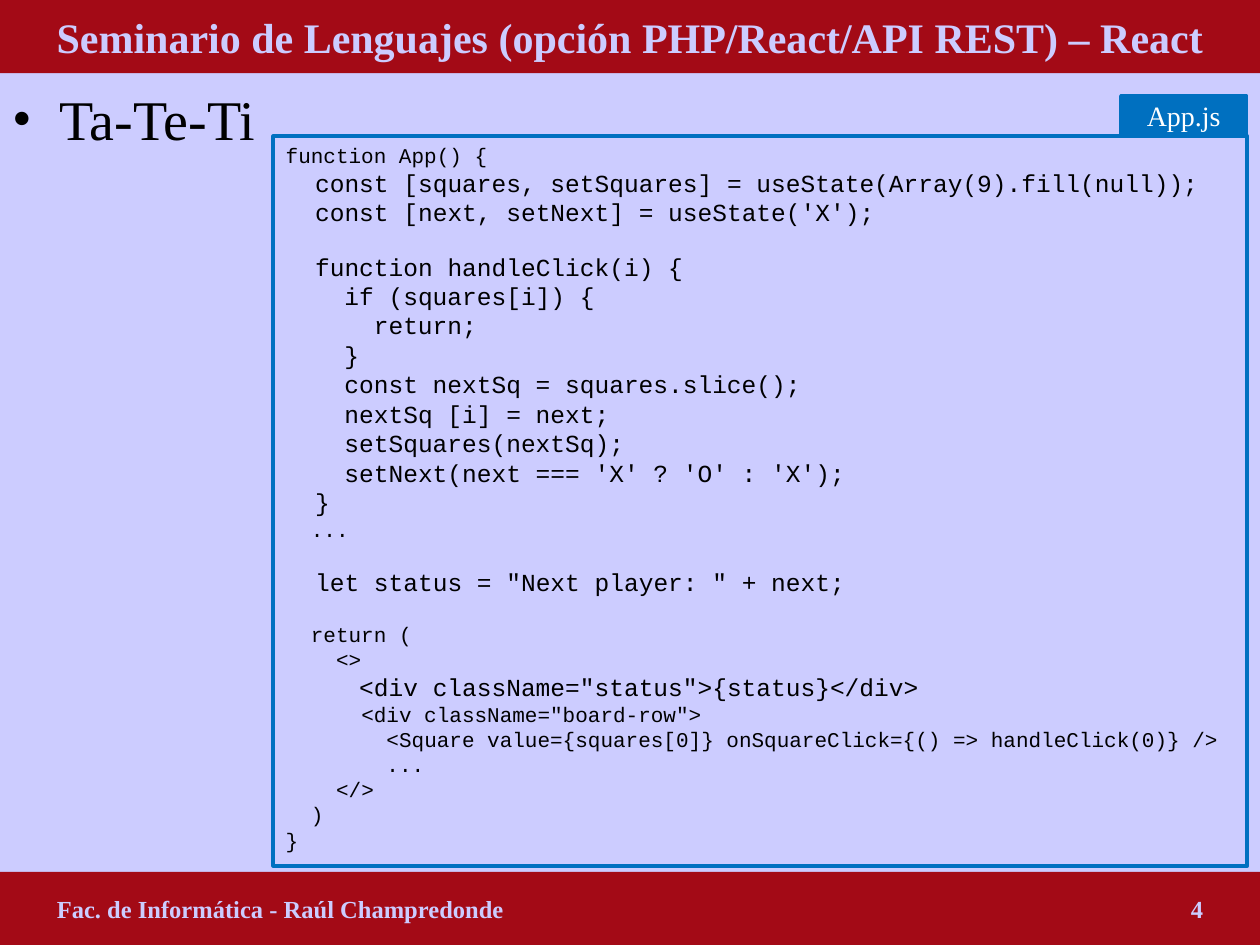
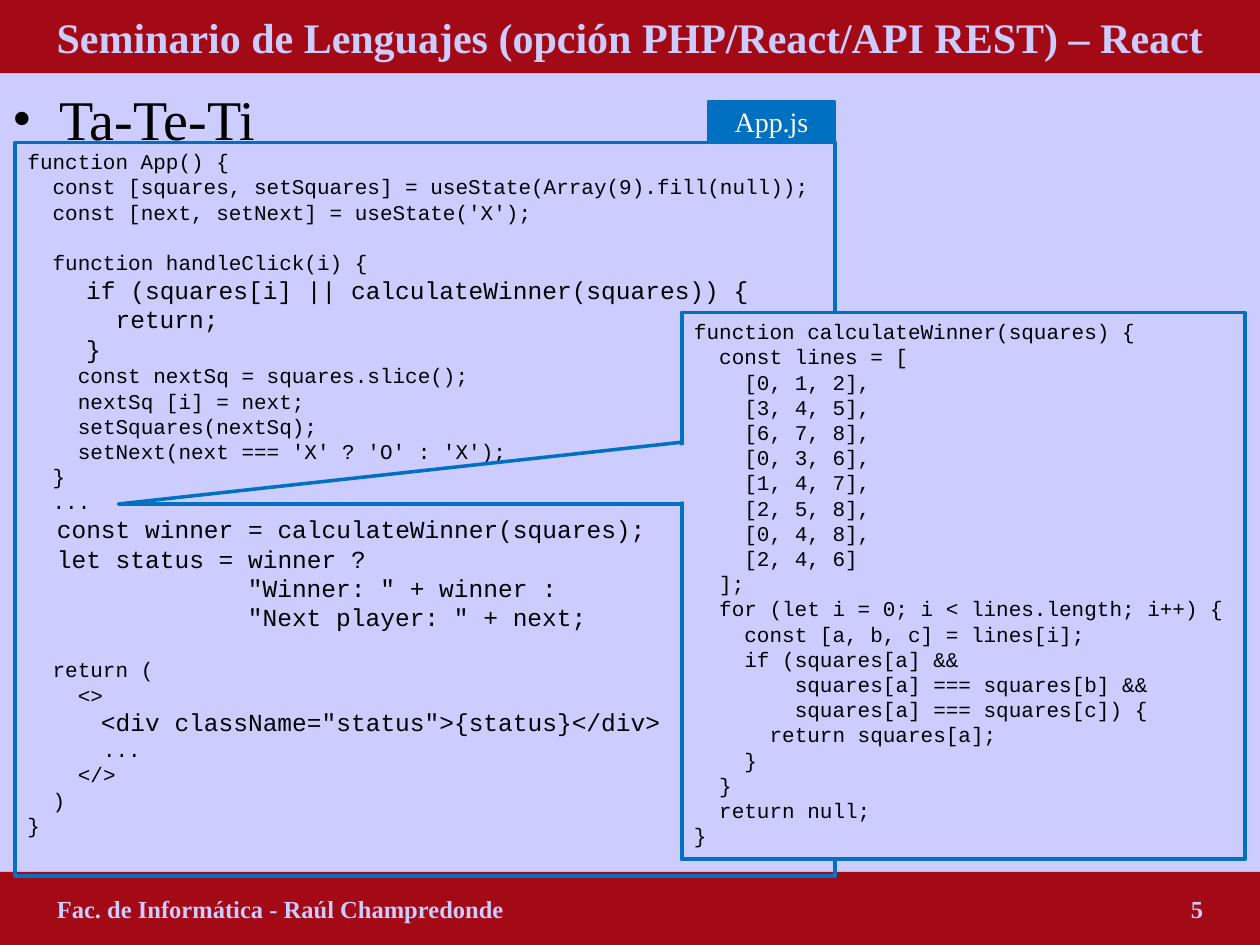
from typing import NamedTuple, Optional

import pptx
import pptx.dml.color
import pptx.enum.shapes
import pptx.enum.text
import pptx.oxml.ns
import pptx.util
from lxml import etree

Pt = pptx.util.Pt
ShapeKind = pptx.enum.shapes.MSO_SHAPE
Align = pptx.enum.text.PP_ALIGN
Anchor = pptx.enum.text.MSO_ANCHOR

LAVENDER, CRIMSON, BLUE = "CCCCFF", "A30A16", "0070C0"
BLACK, WHITE = "000000", "FFFFFF"
SERIF, MONO = "Times New Roman", "Courier New"

PAGE_WIDTH, PAGE_HEIGHT, BAND_HEIGHT = 720, 540, 41.8
FOOTER_MARGIN = 32.5
SMALL, LARGE = 12, 14  # unchanged code, highlighted code
LINE_FACTOR, CHAR_FACTOR = 1.2, 0.6  # Courier line height and character width

COURSE = "Seminario de Lenguajes (opción PHP/React/API REST) – React"
AUTHOR = "Fac. de Informática - Raúl Champredonde"
TOPIC = "Ta-Te-Ti"


class Frame(NamedTuple):
    left: float
    top: float
    width: float
    height: float


class Block(NamedTuple):
    """Consecutive code lines of one size; an empty line opens a gap."""
    size: int
    text: str


class CodePanel(NamedTuple):
    frame: Frame
    blocks: list[Block]
    file_name: Optional[str] = None
    fill: Optional[str] = None


STATE = """\
  const [squares, setSquares] = useState(Array(9).fill(null));
  const [next, setNext] = useState('X');"""

HANDLER = """
  function handleClick(i) {"""

LEAVE = """\
      return;
    }"""

UPDATE = """\
    const nextSq = squares.slice();
    nextSq [i] = next;
    setSquares(nextSq);
    setNext(next === 'X' ? 'O' : 'X');
  }"""

RETURN = """
  return (
    <>"""

CLOSING = """\
    </>
  )
}"""

APP_START = "function App() {"
ELLIPSIS = "  ..."
STATUS = '     <div className="status">{status}</div>'

TURNS = [
    Block(SMALL, APP_START),
    Block(LARGE, STATE),
    Block(LARGE, HANDLER),
    Block(LARGE, "    if (squares[i]) {"),
    Block(LARGE, LEAVE),
    Block(LARGE, UPDATE),
    Block(SMALL, ELLIPSIS),
    Block(LARGE, '\n  let status = "Next player: " + next;'),
    Block(SMALL, RETURN),
    Block(LARGE, STATUS),
    Block(SMALL, """\
      <div className="board-row">
        <Square value={squares[0]} onSquareClick={() => handleClick(0)} />
        ..."""),
    Block(SMALL, CLOSING),
]

WINNER = [
    Block(SMALL, APP_START),
    Block(SMALL, STATE),
    Block(SMALL, HANDLER),
    Block(LARGE, "    if (squares[i] || calculateWinner(squares)) {"),
    Block(LARGE, LEAVE),
    Block(SMALL, UPDATE),
    Block(SMALL, ELLIPSIS),
    Block(LARGE, """\
  const winner = calculateWinner(squares);
  let status = winner ?
               "Winner: " + winner :
               "Next player: " + next;"""),
    Block(SMALL, RETURN),
    Block(LARGE, STATUS),
    Block(SMALL, "      ..."),
    Block(SMALL, CLOSING),
]

CALCULATE_WINNER = [Block(SMALL, """\
function calculateWinner(squares) {
  const lines = [
    [0, 1, 2],
    [3, 4, 5],
    [6, 7, 8],
    [0, 3, 6],
    [1, 4, 7],
    [2, 5, 8],
    [0, 4, 8],
    [2, 4, 6]
  ];
  for (let i = 0; i < lines.length; i++) {
    const [a, b, c] = lines[i];
    if (squares[a] &&
        squares[a] === squares[b] &&
        squares[a] === squares[c]) {
      return squares[a];
    }
  }
  return null;
}""")]


def color(value: str) -> pptx.dml.color.RGBColor:
    return pptx.dml.color.RGBColor.from_string(value)


def paint(shape, fill: Optional[str]) -> None:
    if fill:
        shape.fill.solid()
        shape.fill.fore_color.rgb = color(fill)
    else:
        shape.fill.background()


def place(shape, frame: Frame) -> None:
    shape.left, shape.top, shape.width, shape.height = map(Pt, frame)


def add_box(page, frame: Frame, fill: Optional[str] = None,
            line: Optional[str] = None, weight: float = 2.25,
            kind=ShapeKind.RECTANGLE):
    box = page.shapes.add_shape(kind, *map(Pt, frame))
    box.shadow.inherit = False
    paint(box, fill)
    if line:
        box.line.color.rgb = color(line)
        box.line.width = Pt(weight)
    else:
        box.line.fill.background()
    return box


def style(para, size: float, ink: str, font: str = SERIF, bold: bool = False,
          align=Align.LEFT) -> None:
    para.alignment = align
    for span in para.runs:
        span.font.name = font
        span.font.size = Pt(size)
        span.font.bold = bold
        span.font.color.rgb = color(ink)


def set_label(shape, text: str, size: float, ink: str, bold: bool = False,
              align=Align.CENTER):
    frame = shape.text_frame
    frame.text = text
    frame.word_wrap = True
    frame.auto_size = pptx.enum.text.MSO_AUTO_SIZE.NONE
    frame.vertical_anchor = Anchor.MIDDLE
    style(frame.paragraphs[0], size, ink, bold=bold, align=align)
    return frame.paragraphs[0]


def add_property(para, tag: str, **attributes: str):
    """Append a child element to the paragraph properties."""
    return etree.SubElement(para._p.get_or_add_pPr(),
                            pptx.oxml.ns.qn(tag), attributes)


def set_indent(para, left: float, first: float = 0) -> None:
    properties = para._p.get_or_add_pPr()
    properties.set("marL", str(Pt(left)))
    properties.set("indent", str(Pt(first)))


def add_footer(page, number: int) -> None:
    band = add_box(page, Frame(0, PAGE_HEIGHT - BAND_HEIGHT, PAGE_WIDTH,
                               BAND_HEIGHT), CRIMSON)
    para = set_label(band, f"{AUTHOR}\t{number}", 14, LAVENDER, True, Align.LEFT)
    band.text_frame.margin_left = Pt(FOOTER_MARGIN)
    band.text_frame.margin_right = Pt(FOOTER_MARGIN - 2)
    stops = add_property(para, "a:tabLst")
    etree.SubElement(stops, pptx.oxml.ns.qn("a:tab"), algn="r",
                     pos=str(Pt(PAGE_WIDTH - 2 * FOOTER_MARGIN)))


def add_topic(page) -> None:
    box = page.shapes.add_textbox(*map(Pt, Frame(0, 45, PAGE_WIDTH, 44)))
    para = set_label(box, TOPIC, 32, BLACK, align=Align.LEFT)
    box.text_frame.vertical_anchor = Anchor.TOP
    set_indent(para, 27, -27)
    add_property(para, "a:buFont", typeface=SERIF)
    add_property(para, "a:buChar", char="•")


def add_page(deck, number: int):
    page = deck.slides.add_slide(deck.slide_layouts[5])
    page.background.fill.solid()
    page.background.fill.fore_color.rgb = color(LAVENDER)
    title = page.shapes.title
    place(title, Frame(0, 0, PAGE_WIDTH, BAND_HEIGHT))
    paint(title, CRIMSON)
    set_label(title, COURSE, 24, LAVENDER, True)
    add_topic(page)
    add_footer(page, number)
    return page


def write_code(frame, blocks: list[Block]) -> None:
    """Turn leading spaces into indents and empty lines into space before."""
    gap = 0.0
    para = None
    for block in blocks:
        for line in block.text.split("\n"):
            if not line:
                gap = SMALL * LINE_FACTOR
                continue
            para = frame.add_paragraph() if para else frame.paragraphs[0]
            code = line.lstrip()
            para.text = code
            style(para, block.size, BLACK, MONO)
            para.line_spacing = Pt(block.size * LINE_FACTOR)
            para.space_before = Pt(gap)
            set_indent(para, (len(line) - len(code)) * block.size * CHAR_FACTOR)
            gap = 0.0


def add_code_panel(page, panel: CodePanel) -> None:
    box = add_box(page, panel.frame, panel.fill, BLUE)
    box.text_frame.word_wrap = True
    box.text_frame.vertical_anchor = Anchor.TOP
    write_code(box.text_frame, panel.blocks)
    if panel.file_name:
        right = panel.frame.left + panel.frame.width
        tab = add_box(page, Frame(right - 72.4, panel.frame.top - 23, 72, 22.4),
                      BLUE, BLUE, 2)
        set_label(tab, panel.file_name, 16, WHITE)


def add_pointer(page, frame: Frame, fill: Optional[str] = None,
                line: Optional[str] = None) -> None:
    """Draw a wedge whose tip is the lower left corner of the frame."""
    shift = (frame.width - frame.height) / 2
    upright = Frame(frame.left + shift, frame.top - shift,
                    frame.height, frame.width)
    wedge = add_box(page, upright, fill, line, 2, ShapeKind.ISOSCELES_TRIANGLE)
    wedge.adjustments[0] = 0
    wedge.rotation = 270


def main() -> None:
    deck = pptx.Presentation()
    deck.slide_width, deck.slide_height = Pt(PAGE_WIDTH), Pt(PAGE_HEIGHT)

    turns = add_page(deck, 4)
    add_code_panel(turns, CodePanel(Frame(156.2, 77.8, 556.6, 416.9), TURNS,
                                    "App.js"))

    winner = add_page(deck, 5)
    add_code_panel(winner, CodePanel(Frame(8.6, 81.4, 468.7, 419), WINNER,
                                     "App.js"))
    add_code_panel(winner, CodePanel(Frame(389.5, 178.6, 321.8, 312.5),
                                     CALCULATE_WINNER, fill=LAVENDER))
    add_pointer(winner, Frame(67.7, 252.7, 321.8, 35.3), line=BLUE)
    add_pointer(winner, Frame(94.3, 253.5, 303.8, 33.1), fill=LAVENDER)

    deck.save("out.pptx")


if __name__ == "__main__":
    main()
